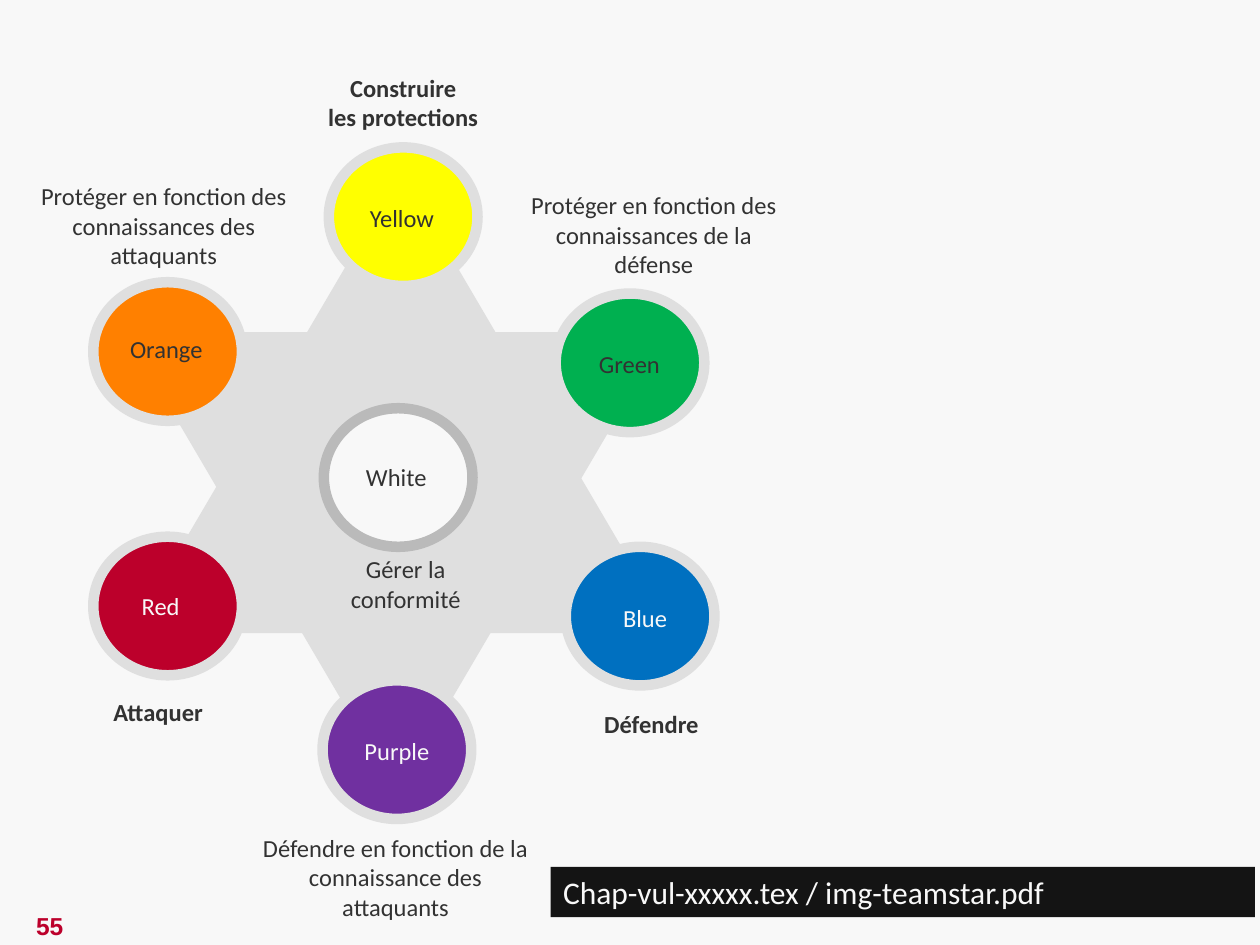
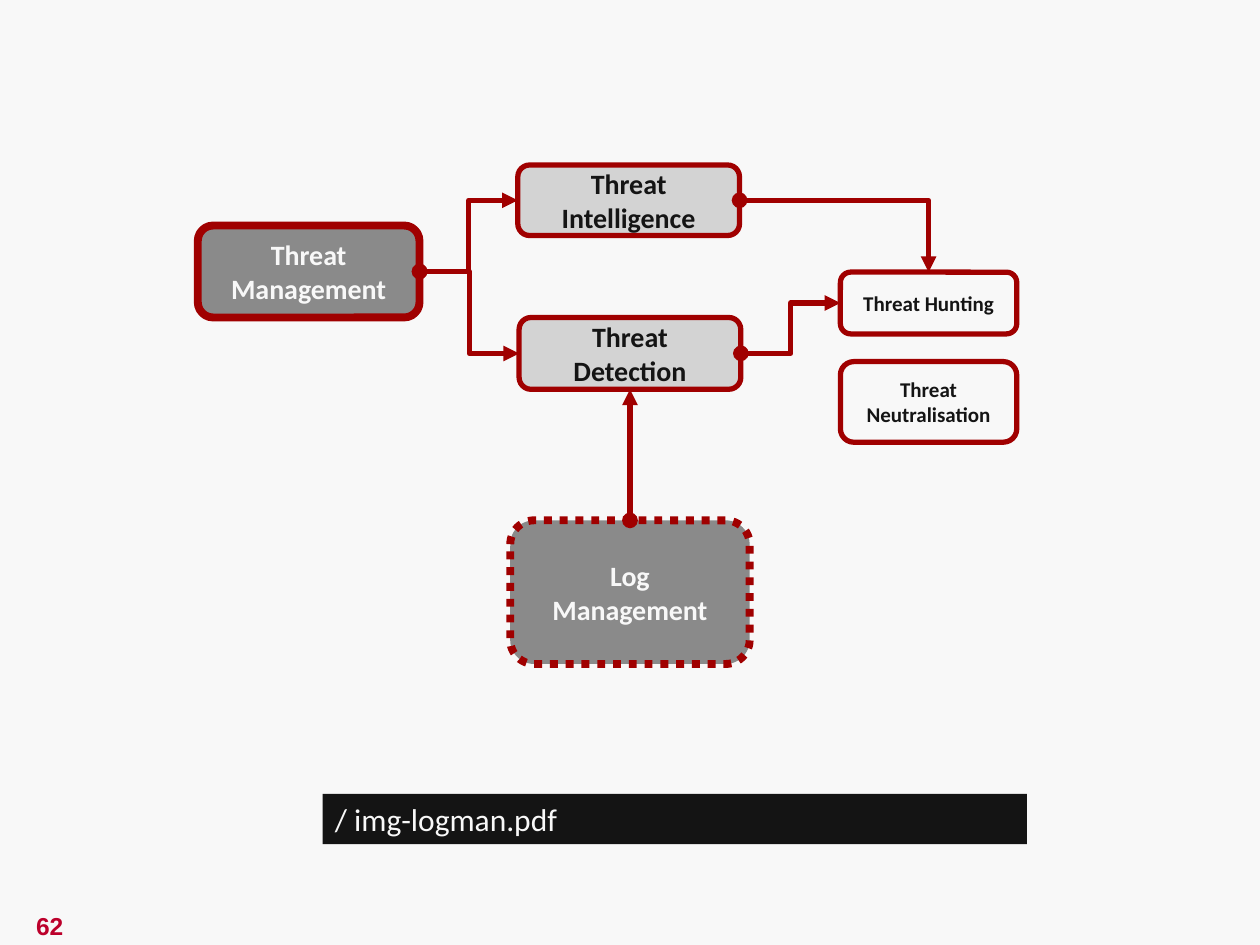
import pptx
import pptx.util
import pptx.dml.color
import pptx.enum.dml
import pptx.enum.shapes
import pptx.enum.text
import pptx.oxml.ns
from lxml import etree

Inches = pptx.util.Inches
RGBColor = pptx.dml.color.RGBColor
SHAPE = pptx.enum.shapes.MSO_SHAPE
LINK = pptx.enum.shapes.MSO_CONNECTOR
ALIGN = pptx.enum.text.PP_ALIGN
ANCHOR = pptx.enum.text.MSO_ANCHOR
DOTS = pptx.enum.dml.MSO_LINE.ROUND_DOT
qn = pptx.oxml.ns.qn

PAPER = RGBColor(0xF8, 0xF8, 0xF8)
INK = RGBColor(0x14, 0x14, 0x14)
TEXT = RGBColor(0x32, 0x32, 0x32)
CRIMSON = RGBColor(0xBC, 0x00, 0x2B)
DARK_RED = RGBColor(0xA0, 0x00, 0x00)
PALE = RGBColor(0xDF, 0xDF, 0xDF)
SILVER = RGBColor(0xBA, 0xBA, 0xBA)
LIGHT = RGBColor(0xD3, 0xD3, 0xD3)
GREY = RGBColor(0x8A, 0x8A, 0x8A)
GREEN = RGBColor(0x00, 0xB0, 0x50)
YELLOW = RGBColor(0xFF, 0xFF, 0x00)
ORANGE = RGBColor(0xFF, 0x80, 0x00)
PURPLE = RGBColor(0x70, 0x30, 0xA0)
BLUE = RGBColor(0x00, 0x70, 0xC0)

BALL_W, BALL_H = 1.18, 1.1
BALLS = [
    ("Green", 3.67, 1.16, GREEN, PALE, TEXT, (0.24, 0.39, 0.69)),
    ("Yellow", 1.87, 0, YELLOW, PALE, TEXT, (0.22, 0.39, 0.72)),
    ("Orange", 0, 1.07, ORANGE, PALE, TEXT, (0.19, 0.36, 0.78)),
    ("Red", 0, 3.09, CRIMSON, PALE, PAPER, (0.28, 0.38, 0.51)),
    ("Purple", 1.82, 4.23, PURPLE, PALE, PAPER, (0.23, 0.39, 0.72)),
    ("Blue", 3.75, 3.17, BLUE, PALE, PAPER, (0.35, 0.4, 0.56)),
    ("White", 1.83, 2.07, PAPER, SILVER, TEXT, (0.23, 0.38, 0.69)),
]
ROLES = [
    (["Construire", "les protections"], 1.76, -0.64, 1.4, 0.57, True),
    (["Protéger en fonction des connaissances de la défense"], 3.27, 0.29, 2.36, 0.81, False),
    (["Protéger en fonction des connaissances des attaquants"], -0.58, 0.22, 2.28, 0.81, False),
    (["Défendre"], 3.95, 4.41, 0.96, 0.34, True),
    (["Attaquer"], 0.03, 4.31, 0.97, 0.34, True),
    (["Gérer la", "conformité"], 1.3, 3.18, 2.36, 0.57, False),
    (["Défendre en fonction de la connaissance des attaquants"], 1.22, 5.39, 2.36, 0.81, False),
]
NODES = {
    "manage": (["Threat Management"], 0, 0.48, 1.76, 0.73, GREY, PAPER, 4.5, 16),
    "intel": (["Threat Intelligence"], 2.54, 0, 1.76, 0.56, LIGHT, INK, 3, 16),
    "detect": (["Threat Detection"], 2.55, 1.21, 1.76, 0.57, LIGHT, INK, 3, 16),
    "neutral": (["Threat", "Neutralisation"], 5.1, 1.56, 1.4, 0.64, PAPER, INK, 3, 12),
    "hunt": (["Threat Hunting"], 5.1, 0.85, 1.4, 0.49, PAPER, INK, 3, 12),
    "log": (["Log Management"], 2.48, 2.82, 1.9, 1.14, GREY, PAPER, 4.5, 16),
}
TOP, LEFT, BOTTOM, RIGHT = range(4)
LINKS = [
    ("manage", RIGHT, "intel", LEFT, "bentConnector3"),
    ("manage", RIGHT, "detect", LEFT, "bentConnector3"),
    ("intel", RIGHT, "hunt", TOP, "bentConnector2"),
    ("detect", RIGHT, "hunt", LEFT, "bentConnector3"),
    ("log", TOP, "detect", BOTTOM, None),
]


def write(shape, lines, size, color, bold=False, font="Calibri",
          align=ALIGN.CENTER, anchor=ANCHOR.TOP, wrap=True):
    frame = shape.text_frame
    frame.word_wrap = wrap
    frame.vertical_anchor = anchor
    for i, line in enumerate(lines):
        para = frame.add_paragraph() if i else frame.paragraphs[0]
        para.alignment = align
        run = para.add_run()
        run.text = line
        run.font.size = pptx.util.Pt(size)
        run.font.name = font
        run.font.bold = bold
        run.font.color.rgb = color


def label(slide, box, lines, size, color, **style):
    shape = slide.shapes.add_textbox(*map(Inches, box))
    write(shape, lines, size, color, **style)


def solid(slide, kind, box, fill, edge=None, width=0):
    shape = slide.shapes.add_shape(kind, *map(Inches, box))
    shape.shadow.inherit = False
    shape.fill.solid()
    shape.fill.fore_color.rgb = fill
    if edge is None:
        shape.line.fill.background()
    else:
        shape.line.color.rgb = edge
        shape.line.width = pptx.util.Pt(width)
    return shape


def page(deck, number):
    slide = deck.slides.add_slide(deck.slide_layouts[6])
    slide.background.fill.solid()
    slide.background.fill.fore_color.rgb = PAPER
    label(slide, (-0.02, 7.18, 0.83, 0.34), [number], 14, CRIMSON,
          bold=True, font="Arial", anchor=ANCHOR.MIDDLE)
    return slide


def band(slide, left, top, text):
    shape = solid(slide, SHAPE.RECTANGLE, (left, top, 5.59, 0.4), INK)
    write(shape, [text], 18, PAPER, align=ALIGN.LEFT)


def star(slide, left, top):
    for x, y, turn in [(0.32, 0.22, 0), (0.28, 1.48, 180)]:
        wedge = solid(slide, SHAPE.FLOWCHART_EXTRACT,
                      (left + x, top + y, 4.25, 3.62), PALE, PALE, 2)
        wedge.rotation = turn
    for name, x, y, fill, edge, ink, (dx, dy, wide) in BALLS:
        x, y = left + x, top + y
        solid(slide, SHAPE.OVAL, (x, y, BALL_W, BALL_H), fill, edge, 6)
        label(slide, (x + dx, y + dy, wide, 0.34), [name], 14, ink, wrap=False)
    for lines, x, y, wide, high, bold in ROLES:
        label(slide, (left + x, top + y, wide, high), lines, 14, TEXT,
              bold=bold, wrap=wide > 2)


def join(slide, start, side, end, goal, bend):
    kind = LINK.ELBOW if bend else LINK.STRAIGHT
    link = slide.shapes.add_connector(kind, 0, 0, 0, 0)
    link.begin_connect(start, side)
    link.end_connect(end, goal)
    link.line.color.rgb = DARK_RED
    link.line.width = pptx.util.Pt(3)
    props = link._element.spPr
    if bend:
        props.find(qn("a:prstGeom")).set("prst", bend)
    edge = props.find(qn("a:ln"))
    etree.SubElement(edge, qn("a:headEnd"), type="oval")
    etree.SubElement(edge, qn("a:tailEnd"), type="triangle")
    etree.SubElement(props, qn("a:effectLst"))


def flow(slide, left, top):
    nodes = {}
    for key, (lines, x, y, wide, high, fill, ink, width, size) in NODES.items():
        node = solid(slide, SHAPE.ROUNDED_RECTANGLE,
                     (left + x, top + y, wide, high), fill, DARK_RED, width)
        write(node, lines, size, ink, bold=True, anchor=ANCHOR.MIDDLE)
        nodes[key] = node
    nodes["log"].line.dash_style = DOTS
    for start, side, end, goal, bend in LINKS:
        join(slide, nodes[start], side, nodes[end], goal, bend)


def main():
    deck = pptx.Presentation()
    deck.slide_width, deck.slide_height = Inches(10), Inches(7.5)
    teams = page(deck, "55")
    star(teams, 0.74, 1.17)
    band(teams, 4.37, 6.88, "Chap-vul-xxxxx.tex / img-teamstar.pdf")
    threats = page(deck, "62")
    flow(threats, 1.57, 1.31)
    band(threats, 2.56, 6.3, "/ img-logman.pdf")
    deck.save("out.pptx")


if __name__ == "__main__":
    main()
